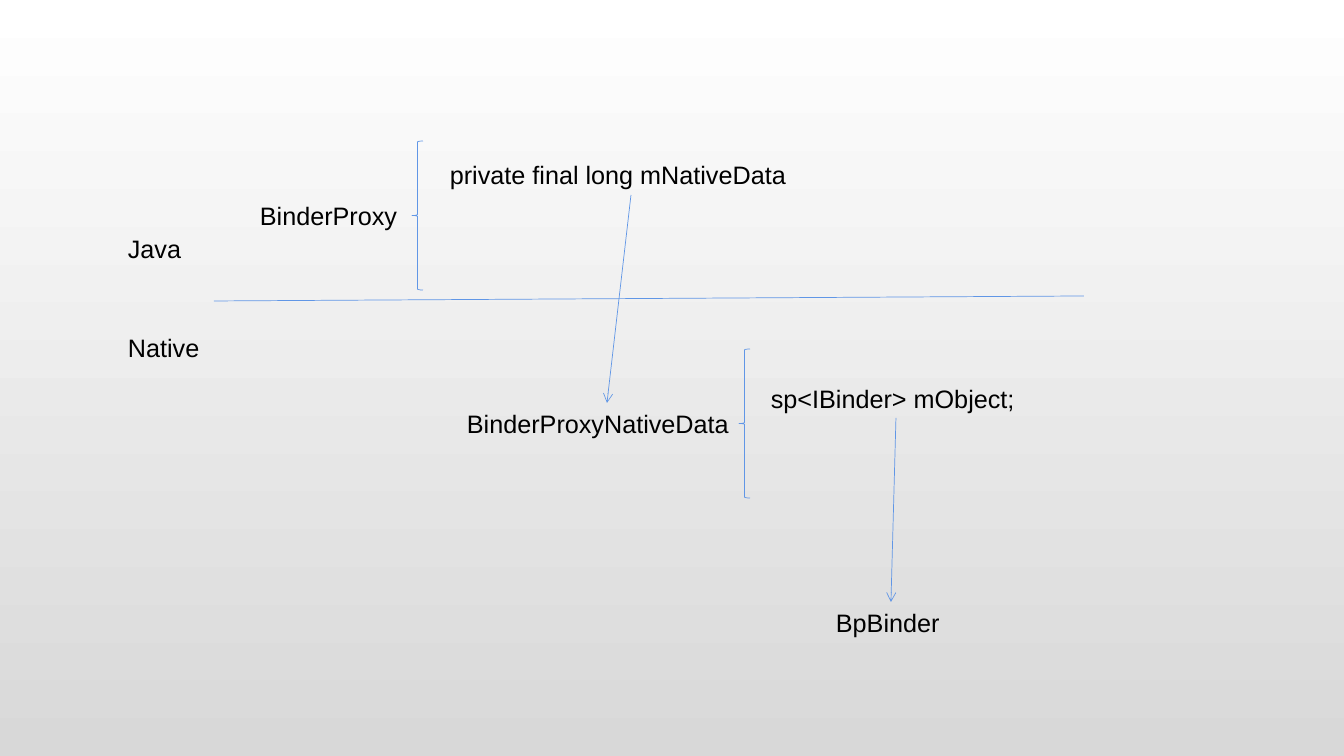
from lxml.etree import SubElement
from pptx import Presentation
from pptx.dml.color import RGBColor
from pptx.enum.shapes import MSO_CONNECTOR, MSO_SHAPE
from pptx.enum.text import MSO_AUTO_SIZE
from pptx.oxml.ns import qn
from pptx.util import Emu, Pt

WIDTH, HEIGHT = 1344, 756
SCALE = 12192000 / WIDTH
TEXT_HEIGHT = 40
BRACE_WIDTH, BRACE_HEIGHT = 11, 149

BLACK = RGBColor(0x00, 0x00, 0x00)
BLUE = RGBColor(0x60, 0x96, 0xE6)
WHITE = RGBColor(0xFF, 0xFF, 0xFF)
GREY = RGBColor(0xD8, 0xD8, 0xD8)


def px(n):
    """Turn pixels into EMU."""
    return Emu(round(n * SCALE))


def set_background(s):
    """Fade the slide from white at the top to grey at the bottom."""
    fill = s.background.fill
    fill.gradient()
    fill.gradient_angle = 270
    for stop, color, position in zip(fill.gradient_stops, (WHITE, GREY), (0, 1)):
        stop.color.rgb = color
        stop.position = position


def style_line(line):
    """Give a line the thin blue stroke of the diagram."""
    line.color.rgb = BLUE
    line.width = Pt(0.5)


def add_label(s, text, x, y, width):
    """Add a one-line black label."""
    box = s.shapes.add_textbox(px(x), px(y), px(width), px(TEXT_HEIGHT))
    tf = box.text_frame
    tf.word_wrap = True
    tf.auto_size = MSO_AUTO_SIZE.SHAPE_TO_FIT_TEXT
    tf.text = text
    font = tf.paragraphs[0].runs[0].font
    font.name = "Arial"
    font.size = Pt(18)
    font.color.rgb = BLACK


def add_brace(s, x, y):
    """Add a brace that opens a class's fields."""
    sp = s.shapes.add_shape(MSO_SHAPE.LEFT_BRACE, px(x), px(y),
                            px(BRACE_WIDTH), px(BRACE_HEIGHT))
    sp.shadow.inherit = False
    sp.fill.background()
    style_line(sp.line)


def add_line(s, x1, y1, x2, y2, arrow=False):
    """Add a straight line, with an open arrowhead at its end if asked."""
    line = s.shapes.add_connector(MSO_CONNECTOR.STRAIGHT,
                                  px(x1), px(y1), px(x2), px(y2))
    style_line(line.line)
    if arrow:
        SubElement(line.line._get_or_add_ln(), qn("a:tailEnd"), type="arrow")
    SubElement(line._element.spPr, qn("a:effectLst"))


def main():
    """Build the slide on Java and native binder objects."""
    prs = Presentation()
    prs.slide_width, prs.slide_height = px(WIDTH), px(HEIGHT)
    s = prs.slides.add_slide(prs.slide_layouts[6])
    set_background(s)

    add_line(s, 214, 301, 1084, 296)
    add_label(s, "Java", 118, 228, 96)
    add_label(s, "Native", 118, 327, 96)

    add_label(s, "BinderProxy", 250, 195, 202)
    add_label(s, "private final long mNativeData", 440, 154, 382)
    add_brace(s, 412, 141)

    add_label(s, "BinderProxyNativeData", 457, 403, 301)
    add_line(s, 631, 195, 607, 403, arrow=True)
    add_label(s, "sp<IBinder> mObject;", 761, 378, 271)
    add_brace(s, 739, 349)

    add_label(s, "BpBinder", 826, 602, 131)
    add_line(s, 896, 418, 891, 602, arrow=True)

    prs.save("out.pptx")


main()
